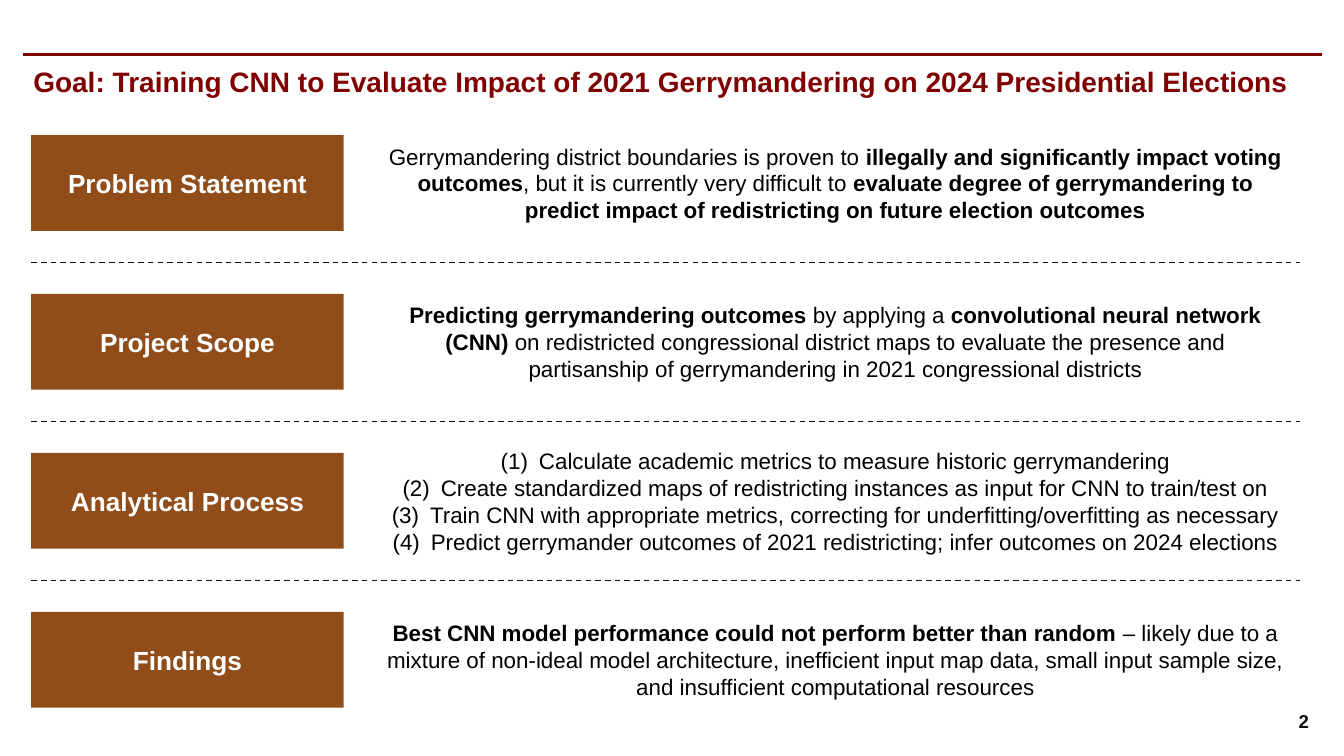
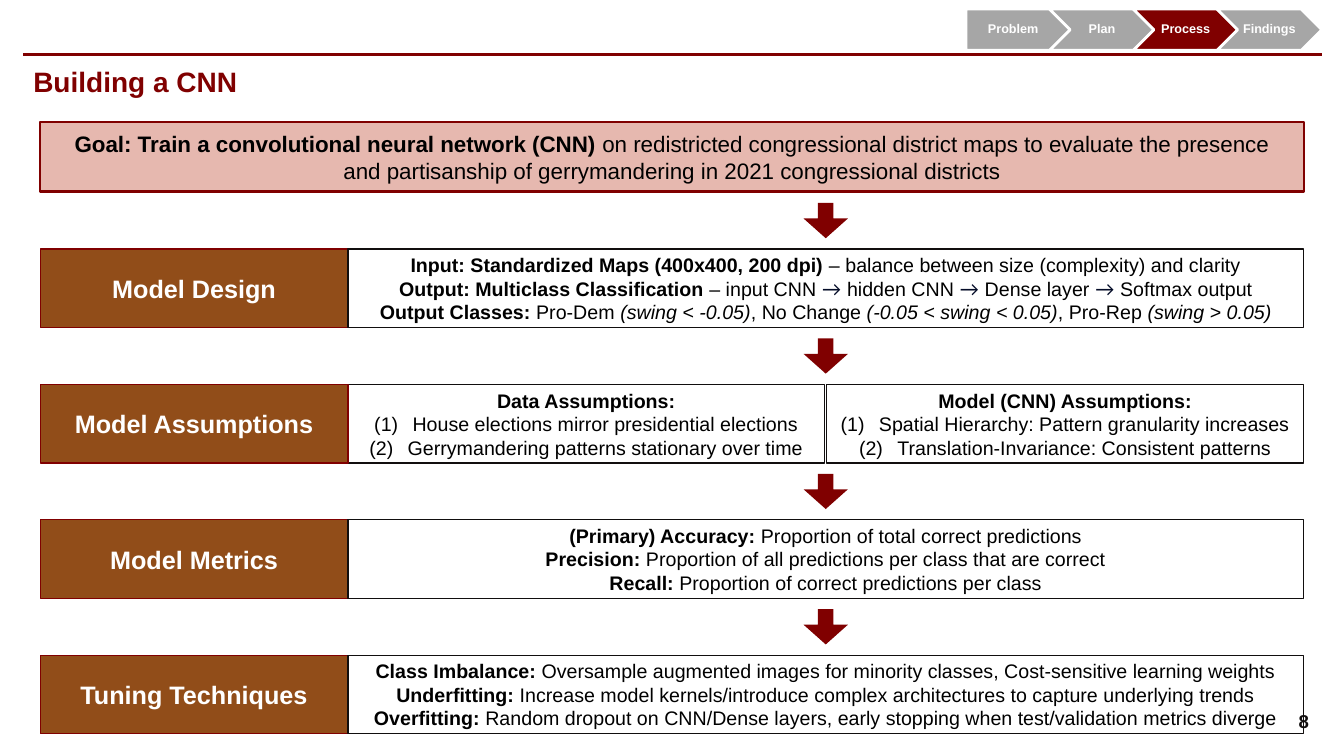
from collections.abc import Iterator
from dataclasses import dataclass
from itertools import groupby
from typing import NamedTuple, Optional

from lxml.etree import SubElement
from pptx import Presentation
from pptx.dml.color import RGBColor
from pptx.enum.dml import MSO_LINE
from pptx.enum.shapes import MSO_CONNECTOR, MSO_SHAPE
from pptx.enum.text import MSO_ANCHOR, MSO_AUTO_SIZE, PP_ALIGN
from pptx.oxml import parse_xml
from pptx.oxml.ns import nsdecls, qn
from pptx.shapes.autoshape import Shape
from pptx.slide import Slide
from pptx.text.text import TextFrame, _Paragraph
from pptx.util import Inches, Pt


class Box(NamedTuple):
    left: float
    top: float
    width: float
    height: float


class Outline(NamedTuple):
    color: str
    width: float


@dataclass(frozen=True)
class TextStyle:
    size: float
    color: str = "000000"
    bold: Optional[bool] = None
    align: PP_ALIGN = PP_ALIGN.CENTER
    inset_x: float = 0.13
    inset_y: float = 0.13
    line_spacing: float = 1.0


@dataclass(frozen=True)
class Theme:
    font: str = "Arial"
    arrow_font: str = "Lato"
    arrow_ink: str = "040C28"
    maroon: str = "800000"
    brown: str = "914D19"
    rose: str = "E6B8AF"
    gray: str = "A6A6A6"
    ink: str = "110E0E"
    white: str = "FFFFFF"
    title: TextStyle = TextStyle(20, "800000", True, PP_ALIGN.LEFT, 0.1, 0.05)
    number: TextStyle = TextStyle(13.3, "110E0E", True, PP_ALIGN.RIGHT, 0.1, 0.05)
    overview_label: TextStyle = TextStyle(18.7, "FFFFFF", True)
    stage_label: TextStyle = TextStyle(18, "FFFFFF", True)
    statement: TextStyle = TextStyle(16)
    detail: TextStyle = TextStyle(14)
    step: TextStyle = TextStyle(9, "FFFFFF", True, inset_x=0.03, inset_y=0.03,
                                line_spacing=0.9)


@dataclass(frozen=True)
class RowGrid:
    """Equal rows, a label column on the left and a content column on the right."""
    first_top: float
    last_top: float
    height: float
    label_left: float
    label_width: float
    content_left: float
    right: float
    count: int = 4

    @property
    def gap(self) -> float:
        return (self.last_top - self.first_top) / (self.count - 1) - self.height

    def top(self, row: int) -> float:
        return self.first_top + row * (self.height + self.gap)

    def label(self, row: int) -> Box:
        return Box(self.label_left, self.top(row), self.label_width, self.height)

    def content(self, row: int, part: int = 0, parts: int = 1, gutter: float = 0.02) -> Box:
        width = (self.right - self.content_left - gutter * (parts - 1)) / parts
        return Box(self.content_left + part * (width + gutter), self.top(row),
                   width, self.height)


class Row(NamedTuple):
    label: str
    panels: tuple[str, ...]


THEME = Theme()
NUMBERED = "# "
SLIDE_WIDTH, SLIDE_HEIGHT = 13.33, 7.5
RULE_LEFT, RULE_RIGHT, RULE_TOP = 0.23, 13.11, 0.54
OVERVIEW_GRID = RowGrid(1.34, 6.07, 0.95, 0.31, 3.1, 3.68, 12.89)
STAGE_GRID = RowGrid(2.47, 6.5, 0.78, 0.4, 3.05, 3.45, 12.93)

# In these texts *...* is bold, _..._ is italic and a leading "# " numbers the line.
OVERVIEW = (
    Row("Problem Statement", (
        "Gerrymandering district boundaries is proven to *illegally and significantly impact "
        "voting outcomes*, but it is currently very difficult to *evaluate degree of "
        "gerrymandering to predict impact of redistricting on future election outcomes*",)),
    Row("Project Scope", (
        "*Predicting gerrymandering outcomes* by applying a *convolutional neural network "
        "(CNN)* on redistricted congressional district maps to evaluate the presence and "
        "partisanship of gerrymandering in 2021 congressional districts",)),
    Row("Analytical Process", (
        "# Calculate academic metrics to measure historic gerrymandering\n"
        "# Create standardized maps of redistricting instances as input for CNN to "
        "train/test on\n"
        "# Train CNN with appropriate metrics, correcting for underfitting/overfitting as "
        "necessary\n"
        "# Predict gerrymander outcomes of 2021 redistricting; infer outcomes on 2024 "
        "elections",)),
    Row("Findings", (
        "*Best CNN model performance could not perform better than random *– likely due to a "
        "mixture of non-ideal model architecture, inefficient input map data, small input "
        "sample size, and insufficient computational resources",)),
)
GOAL = ("*Goal: Train a convolutional neural network (CNN)* on redistricted congressional "
        "district maps to evaluate the presence and partisanship of gerrymandering in 2021 "
        "congressional districts")
STAGES = (
    Row("Model Design", (
        "*Input: Standardized Maps (400x400, 200 dpi) *– balance between size (complexity) "
        "and clarity\n"
        "*Output: Multiclass Classification *– input CNN → hidden CNN → Dense layer → "
        "Softmax output\n"
        "*Output Classes: *Pro-Dem _(swing < -0.05)_, No Change _(-0.05 < swing < 0.05)_, "
        "Pro-Rep _(swing > 0.05)_",)),
    Row("Model Assumptions", (
        "*Data Assumptions:*\n# House elections mirror presidential elections\n"
        "# Gerrymandering patterns stationary over time",
        "*Model (CNN) Assumptions:*\n# Spatial Hierarchy: Pattern granularity increases\n"
        "# Translation-Invariance: Consistent patterns")),
    Row("Model Metrics", (
        "*(Primary) Accuracy: *Proportion of total correct predictions\n"
        "*Precision:* Proportion of all predictions per class that are correct\n"
        "*Recall: *Proportion of correct predictions per class",)),
    Row("Tuning Techniques", (
        "*Class Imbalance:* Oversample augmented images for minority classes, Cost-sensitive "
        "learning weights\n"
        "*Underfitting: *Increase model kernels/introduce complex architectures to capture "
        "underlying trends\n"
        "*Overfitting: *Random dropout on CNN/Dense layers, early stopping when "
        "test/validation metrics diverge",)),
)
STEPS = ("Problem", "Plan", "Process", "Findings")


def rgb(color: str) -> RGBColor:
    return RGBColor.from_string(color)


def add_runs(paragraph: _Paragraph, markup: str) -> None:
    """Turn * and _ marks into bold and italic runs, with arrows in their own font."""
    for bold, section in enumerate(markup.split("*")):
        for italic, piece in enumerate(section.split("_")):
            for is_arrow, letters in groupby(piece, lambda letter: letter == "→"):
                run = paragraph.add_run()
                run.text = "".join(letters)
                if bold % 2:
                    run.font.bold = True
                if italic % 2:
                    run.font.italic = True
                if is_arrow:
                    run.font.name = THEME.arrow_font
                    run.font.color.rgb = rgb(THEME.arrow_ink)


def set_numbering(paragraph: _Paragraph, numbered: bool) -> None:
    properties = paragraph._p.get_or_add_pPr()
    indent = Inches(0.38) if numbered else 0
    properties.set("marL", str(indent))
    properties.set("indent", str(-indent))
    marks = ([f'<a:buClr {nsdecls("a")}><a:srgbClr val="000000"/></a:buClr>',
              f'<a:buFont {nsdecls("a")} typeface="{THEME.font}"/>',
              f'<a:buAutoNum {nsdecls("a")} type="arabicParenBoth"/>']
             if numbered else [f'<a:buNone {nsdecls("a")}/>'])
    run_defaults = properties.find(qn("a:defRPr"))
    for mark in marks:
        run_defaults.addprevious(parse_xml(mark))


def write(frame: TextFrame, markup: str, style: TextStyle) -> None:
    frame.word_wrap = True
    frame.auto_size = MSO_AUTO_SIZE.NONE
    frame.vertical_anchor = MSO_ANCHOR.MIDDLE
    frame.margin_left = frame.margin_right = Inches(style.inset_x)
    frame.margin_top = frame.margin_bottom = Inches(style.inset_y)
    for index, line in enumerate(markup.split("\n")):
        paragraph = frame.add_paragraph() if index else frame.paragraphs[0]
        paragraph.alignment = style.align
        paragraph.line_spacing = style.line_spacing
        paragraph.space_before = Pt(0)
        paragraph.font.name = THEME.font
        paragraph.font.size = Pt(style.size)
        paragraph.font.bold = style.bold
        paragraph.font.color.rgb = rgb(style.color)
        set_numbering(paragraph, line.startswith(NUMBERED))
        add_runs(paragraph, line.removeprefix(NUMBERED))


def place(shape: Shape, box: Box) -> None:
    shape.left, shape.top, shape.width, shape.height = map(Inches, box)


def paint(shape: Shape, fill: Optional[str], outline: Optional[Outline]) -> None:
    shape.shadow.inherit = False
    if fill:
        shape.fill.solid()
        shape.fill.fore_color.rgb = rgb(fill)
    else:
        shape.fill.background()
    if outline:
        shape.line.color.rgb = rgb(outline.color)
        shape.line.width = Pt(outline.width)
    else:
        shape.line.fill.background()


def add_block(slide: Slide, box: Box, fill: Optional[str], outline: Optional[Outline] = None,
              kind: MSO_SHAPE = MSO_SHAPE.RECTANGLE) -> Shape:
    block = slide.shapes.add_shape(kind, *map(Inches, box))
    paint(block, fill, outline)
    return block


def add_rule(slide: Slide, left: float, right: float, y: float, outline: Outline,
             dash: Optional[MSO_LINE] = None) -> None:
    rule = slide.shapes.add_connector(MSO_CONNECTOR.STRAIGHT, *map(Inches, (left, y, right, y)))
    rule.line.color.rgb = rgb(outline.color)
    rule.line.width = Pt(outline.width)
    rule.line.dash_style = dash
    SubElement(rule._element.spPr, qn("a:effectLst"))


def start_slide(deck: Presentation, layout: int, title: str, number: int) -> Slide:
    slide = deck.slides.add_slide(deck.slide_layouts[layout])
    add_rule(slide, RULE_LEFT, RULE_RIGHT, RULE_TOP, Outline(THEME.maroon, 2))
    heading = slide.shapes.title
    place(heading, Box(RULE_LEFT, 0.41, RULE_RIGHT - RULE_LEFT, 0.8))
    write(heading.text_frame, title, THEME.title)
    return slide


def add_page_number(slide: Slide, number: int) -> None:
    corner = slide.shapes.add_textbox(*map(Inches, (12.33, 6.95, 0.75, 0.4)))
    write(corner.text_frame, str(number), THEME.number)


def add_row(slide: Slide, grid: RowGrid, index: int, row: Row, lists: Iterator[Shape],
            label_style: TextStyle, panel_style: TextStyle,
            label_outline: Optional[Outline] = None,
            panel_outline: Optional[Outline] = None) -> None:
    """Draw a label and its panels; panels with numbered lines use body placeholders."""
    label = add_block(slide, grid.label(index), THEME.brown, label_outline)
    write(label.text_frame, row.label, label_style)
    for part, markup in enumerate(row.panels):
        box = grid.content(index, part, len(row.panels))
        if NUMBERED in markup:
            panel = next(lists)
            place(panel, box)
            paint(panel, None, panel_outline)
        else:
            panel = add_block(slide, box, None, panel_outline)
        write(panel.text_frame, markup, panel_style)


def add_progress(slide: Slide, current: str) -> None:
    for index, step in enumerate(STEPS):
        marker = add_block(slide, Box(9.58 + 0.83 * index, 0.09, 1.04, 0.41),
                           THEME.maroon if step == current else THEME.gray,
                           Outline(THEME.white, 2),
                           MSO_SHAPE.CHEVRON if index else MSO_SHAPE.PENTAGON)
        write(marker.text_frame, step, THEME.step)
        marker.text_frame.word_wrap = False


def add_down_arrow(slide: Slide, grid: RowGrid, row: int) -> None:
    width, height = 0.44, 0.35
    center = (grid.content_left + grid.right) / 2
    top = grid.top(row) - (grid.gap + height) / 2
    arrow = add_block(slide, Box(center - width / 2, top, width, height), THEME.maroon,
                      kind=MSO_SHAPE.DOWN_ARROW)
    arrow.adjustments[0], arrow.adjustments[1] = 0.35, 0.56


def build_overview(deck: Presentation) -> None:
    slide = start_slide(deck, 1, "Goal: Training CNN to Evaluate Impact of 2021 "
                        "Gerrymandering on 2024 Presidential Elections", 2)
    grid, lists = OVERVIEW_GRID, iter(list(slide.placeholders)[1:])
    for index, row in enumerate(OVERVIEW):
        add_row(slide, grid, index, row, lists, THEME.overview_label, THEME.statement)
        if index:
            add_rule(slide, grid.label_left, grid.right, grid.top(index) - grid.gap / 2,
                     Outline(THEME.ink, 1), MSO_LINE.DASH)
    add_page_number(slide, 2)


def build_cnn_stages(deck: Presentation) -> None:
    slide = start_slide(deck, 3, "Building a CNN", 8)
    grid, lists = STAGE_GRID, iter(list(slide.placeholders)[1:])
    add_progress(slide, "Process")
    goal = add_block(slide, Box(grid.label_left, 1.21, grid.right - grid.label_left, 0.69),
                     THEME.rose, Outline(THEME.maroon, 1.5))
    write(goal.text_frame, GOAL, THEME.statement)
    for index, row in enumerate(STAGES):
        add_row(slide, grid, index, row, lists, THEME.stage_label, THEME.detail,
                Outline(THEME.maroon, 1), Outline(THEME.ink, 1))
        add_down_arrow(slide, grid, index)
    add_page_number(slide, 8)


def main() -> None:
    deck = Presentation()
    deck.slide_width, deck.slide_height = Inches(SLIDE_WIDTH), Inches(SLIDE_HEIGHT)
    build_overview(deck)
    build_cnn_stages(deck)
    deck.save("out.pptx")


if __name__ == "__main__":
    main()
